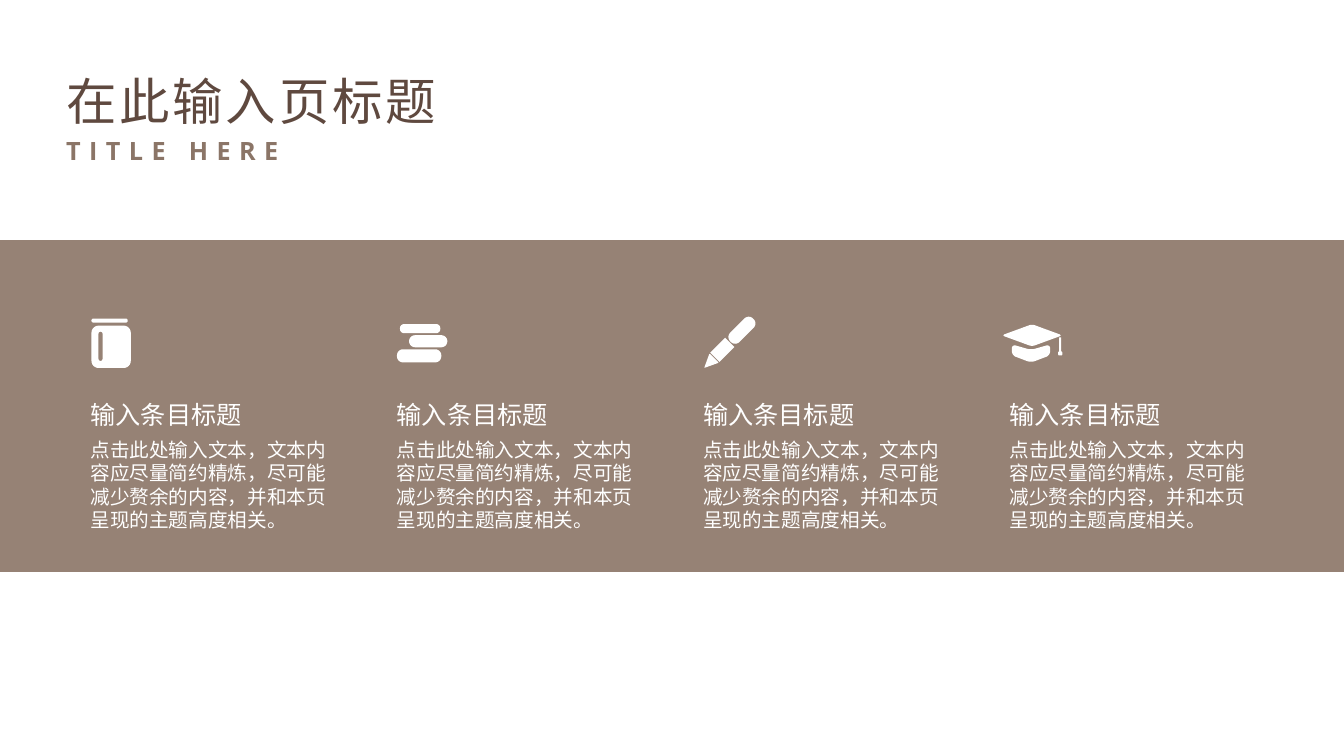
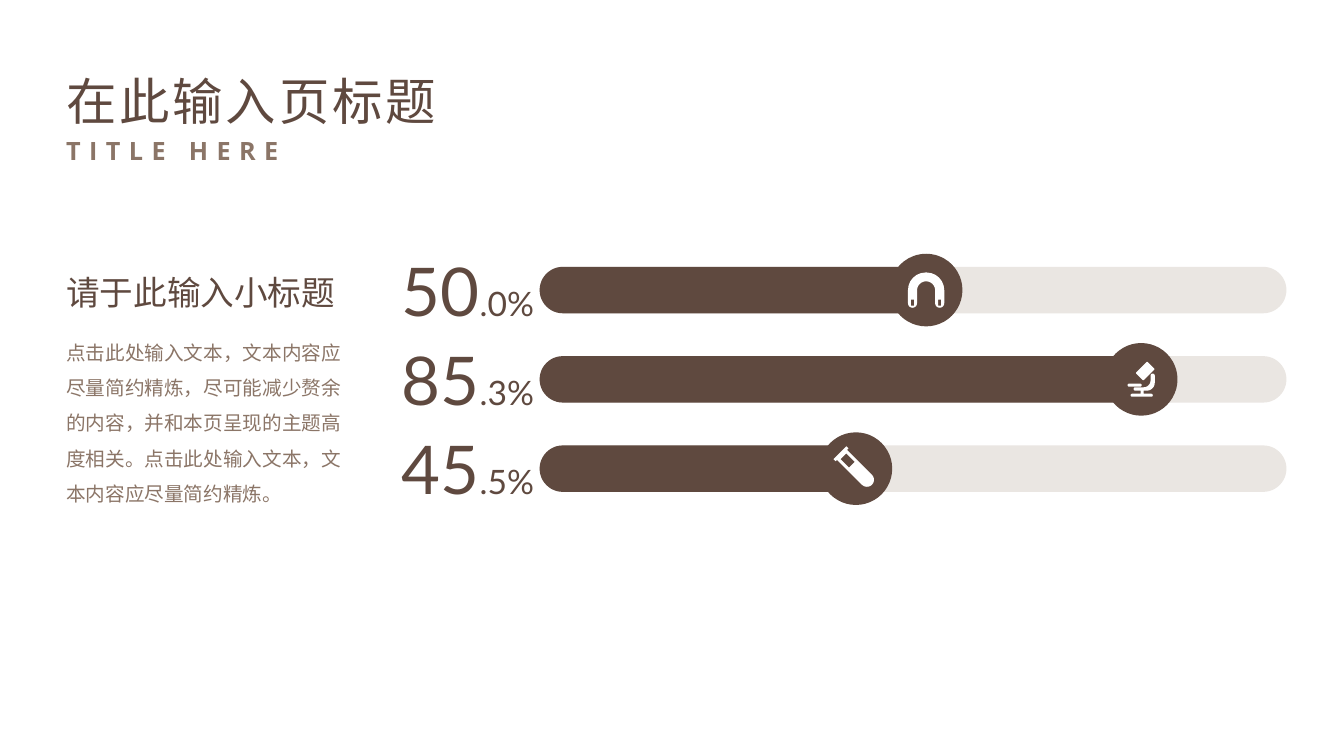
import math

import lxml.etree
import pptx
import pptx.dml.color
import pptx.enum.shapes
import pptx.enum.text
import pptx.oxml.ns
import pptx.util

Cm = pptx.util.Cm
Pt = pptx.util.Pt
SHAPES = pptx.enum.shapes.MSO_SHAPE

COLOURS = {
    "dark": "5F493F",
    "brown": "8B7567",
    "track": "EAE6E2",
    "white": "FFFFFF",
}
CHINESE = "Noto Sans CJK SC"
PAGE_WIDTH, PAGE_HEIGHT = 33.87, 19.05
MARGIN = 1.42
ICON_UNIT = Pt(0.72)
FINE = 100  # freeform steps in one icon unit

ITEM_TITLE = "输入条目标题"
ITEM_TEXT = "点击此处输入文本，文本内容应尽量简约精炼，尽可能减少赘余的内容，并和本页呈现的主题高度相关。"
SIDE_TITLE = "请于此输入小标题"
SIDE_TEXT = ITEM_TEXT + "点击此处输入文本，文本内容应尽量简约精炼。"

# Corners of each kind of part, as fractions of its width and height.
PARTS = {
    "bar": [(0, 0), (1, 0), (1, 1), (0, 1)],
    "cup": [(0, 0.02), (0, 0), (1, 0), (1, 0.02), (1, 1), (0, 1)],
    "point": [(0, 0), (1, 0), (0.5, 1)],
    "diamond": [(0.5, 0), (1, 0.5), (0.5, 1), (0, 0.5)],
    "bowl": [(0, 0), (0.5, 0.3), (1, 0), (1, 0.6), (0.5, 1), (0, 0.6)],
    "arch": [(0, 0), (1, 0), (1, 1), (0.75, 1),
             (0.75, 0.25), (0.25, 0.25), (0.25, 1), (0, 1)],
    "slant": [(0, 0.6), (0.6, 0), (1, 0.4), (0.4, 1)],
    "hook": [(0.8, 0), (1, 0), (1, 1), (0, 1), (0, 0.8), (0.8, 0.8)],
}

# Rotation, then parts: kind, left, top, width, height, largest corner radius.
ICONS = {
    "book": (0, [("bar", 0, 0, 36, 4, 2), ("bar", 0, 7, 39, 42, 7),
                 ("bar", 7, 13, 4, 29, 2)]),
    "books": (0, [("bar", 3, 0, 40, 9, 4), ("bar", 12, 11, 38, 12, 6),
                  ("bar", 0, 25, 44, 13, 6)]),
    "pen": (45, [("bar", 0, 0, 13, 32, 6), ("bar", 0, 33, 13, 21, 0),
                 ("point", 0, 55, 13, 14, 1)]),
    "cap": (0, [("diamond", 0, 0, 60, 22, 3), ("bowl", 10, 20, 38, 18, 4),
                ("bar", 57, 13, 2, 14, 0), ("bar", 56, 27, 4, 4, 1)]),
    "magnet": (0, [("arch", 0, 0, 36, 35, 18), ("bar", 3, 27, 3, 6, 0),
                   ("bar", 30, 27, 3, 6, 0)]),
    "microscope": (0, [("slant", 8, 0, 19, 19, 1), ("hook", 6, 12, 21, 17, 8),
                       ("bar", 0, 22, 14, 3, 2), ("bar", 13, 29, 3, 3, 0),
                       ("bar", 3, 32, 22, 3, 2)]),
    "tube": (-45, [("bar", 0, 0, 18, 3, 0), ("cup", 2, 3, 14, 42, 7),
                   ("bar", 5, 5, 8, 12, 0)]),
}


def colour(name):
    return pptx.dml.color.RGBColor.from_string(COLOURS[name])


def paint(shape, name):
    shape.shadow.inherit = False
    shape.fill.solid()
    shape.fill.fore_color.rgb = colour(name)
    shape.line.fill.background()
    return shape


def add_block(page, kind, left, top, width, height, name):
    block = page.shapes.add_shape(kind, Cm(left), Cm(top), Cm(width), Cm(height))
    return paint(block, name)


def add_pill(page, left, top, width, height, name):
    pill = add_block(page, SHAPES.ROUNDED_RECTANGLE, left, top, width, height, name)
    pill.adjustments[0] = 0.5


def style_paragraph(para, size, name, face=CHINESE, bold=False, tracking=0):
    """Set the font for Latin and Chinese text; tracking is in points."""
    para.font.size = Pt(size)
    para.font.bold = bold
    para.font.color.rgb = colour(name)
    para.font.name = face
    properties = para._p.pPr.find(pptx.oxml.ns.qn("a:defRPr"))
    east_asian = lxml.etree.SubElement(properties, pptx.oxml.ns.qn("a:ea"))
    east_asian.set("typeface", face)
    if tracking:
        properties.set("spc", str(tracking * 100))


def prepare_frame(box):
    frame = box.text_frame
    frame.word_wrap = True
    frame.auto_size = pptx.enum.text.MSO_AUTO_SIZE.SHAPE_TO_FIT_TEXT
    frame.vertical_anchor = pptx.enum.text.MSO_ANCHOR.TOP
    return frame


def add_text_box(page, left, top, width, height):
    return prepare_frame(page.shapes.add_textbox(Cm(left), Cm(top), Cm(width), Cm(height)))


def fill_heading_and_text(frame, heading, text, leading, gap):
    """Write (words, size, colour) twice; leading is a multiple of the size."""
    for index, (words, size, name) in enumerate((heading, text)):
        para = frame.add_paragraph() if index else frame.paragraphs[0]
        para.text = words
        para.line_spacing = Pt(size * leading)
        if index:
            para.space_before = Pt(gap)
        style_paragraph(para, size, name)


def add_page(deck):
    """Add a page with the shared title and subtitle."""
    page = deck.slides.add_slide(deck.slide_layouts[5])
    title = page.shapes.title
    title.left, title.top, title.width, title.height = Cm(MARGIN), Cm(1.55), Cm(10.77), Cm(1.8)
    para = prepare_frame(title).paragraphs[0]
    para.text = "在此输入页标题"
    para.alignment = pptx.enum.text.PP_ALIGN.LEFT
    para.line_spacing = Pt(46)
    style_paragraph(para, 36, "dark", tracking=2)

    para = add_text_box(page, MARGIN, 3.28, 11.46, 1.02).paragraphs[0]
    para.text = "TITLE HERE"
    style_paragraph(para, 18, "brown", "Open Sans", bold=True, tracking=6)
    return page


def round_corners(radius, corners, steps=6):
    """Return the outline with each corner rounded as far as its edges allow."""
    if not radius:
        return corners
    outline = []
    for index, corner in enumerate(corners):
        neighbours = corners[index - 1], corners[(index + 1) % len(corners)]
        lengths = [math.dist(corner, neighbour) for neighbour in neighbours]
        cut = min(radius, min(lengths) / 2)
        start, end = (
            [c + (n - c) * cut / length for c, n in zip(corner, neighbour)]
            for neighbour, length in zip(neighbours, lengths)
        )
        for step in range(steps + 1):
            t = step / steps
            # Cubic curve whose handles reach 0.55 of the way to the corner.
            head = (1 - t) ** 3 + 3 * t * (1 - t) ** 2 * 0.45
            tail = t ** 3 + 3 * t ** 2 * (1 - t) * 0.45
            outline.append([
                head * s + tail * e + (1 - head - tail) * c
                for s, e, c in zip(start, end, corner)
            ])
    return outline


def add_icon(page, name, centre_x, centre_y):
    rotation, parts = ICONS[name]
    builder = None
    for kind, left, top, width, height, radius in parts:
        corners = [(left + x * width, top + y * height) for x, y in PARTS[kind]]
        first, *rest = [(x * FINE, y * FINE) for x, y in round_corners(radius, corners)]
        if builder is None:
            builder = page.shapes.build_freeform(*first, scale=ICON_UNIT / FINE)
        else:
            builder.move_to(*first)
        builder.add_line_segments(rest, close=True)
    icon = paint(builder.convert_to_shape(), "white")
    icon.left = Cm(centre_x) - icon.width // 2
    icon.top = Cm(centre_y) - icon.height // 2
    icon.rotation = rotation


def build_items_page(deck):
    page = add_page(deck)
    band = add_block(page, SHAPES.RECTANGLE, 0, 6.05, PAGE_WIDTH, 8.36, "brown")
    fill_colour = band.fill._xPr.find(".//" + pptx.oxml.ns.qn("a:srgbClr"))
    lxml.etree.SubElement(fill_colour, pptx.oxml.ns.qn("a:alpha")).set("val", "90000")

    icons = [("book", 0.77), ("books", 0.89), ("pen", 0.9), ("cap", 0.84)]
    for column, (icon, offset) in enumerate(icons):
        left = 2.03 + column * 7.72
        frame = add_text_box(page, left, 9.93, 6.63, 3.63)
        fill_heading_and_text(
            frame, (ITEM_TITLE, 18, "white"), (ITEM_TEXT, 14, "white"), leading=1.2, gap=6)
        add_icon(page, icon, left + offset, 8.65)


def add_percentage(page, top, whole, fraction):
    para = add_text_box(page, 9.68, top, 4.22, 2.31).paragraphs[0]
    para.alignment = pptx.enum.text.PP_ALIGN.CENTER
    style_paragraph(para, 48, "dark", "Lato")
    para.add_run().text = whole
    small = para.add_run()
    small.text = fraction
    small.font.size = Pt(24)


def add_progress_row(page, middle, whole, fraction, length, icon):
    left, height, knob = 13.6, 1.17, 1.83
    top = middle - height / 2
    end = left + length
    add_pill(page, left, top, 18.82, height, "track")
    add_pill(page, left, top, length, height, "dark")
    add_block(page, SHAPES.OVAL, end - knob / 2, middle - knob / 2, knob, knob, "dark")
    add_percentage(page, middle - 1.16, whole, fraction)
    add_icon(page, icon, end, middle)


def build_progress_page(deck):
    page = add_page(deck)
    rows = [
        ("50", ".0%", 9.74, "magnet"),
        ("85", ".3%", 15.16, "microscope"),
        ("45", ".5%", 7.97, "tube"),
    ]
    for index, row in enumerate(rows):
        add_progress_row(page, 7.31 + index * 2.25, *row)
    frame = add_text_box(page, MARGIN, 6.22, 7.67, 6.5)
    fill_heading_and_text(
        frame, (SIDE_TITLE, 24, "dark"), (SIDE_TEXT, 14, "brown"), leading=1.8, gap=12)


def main():
    deck = pptx.Presentation()
    deck.slide_width, deck.slide_height = Cm(PAGE_WIDTH), Cm(PAGE_HEIGHT)
    build_items_page(deck)
    build_progress_page(deck)
    deck.save("out.pptx")


if __name__ == "__main__":
    main()
